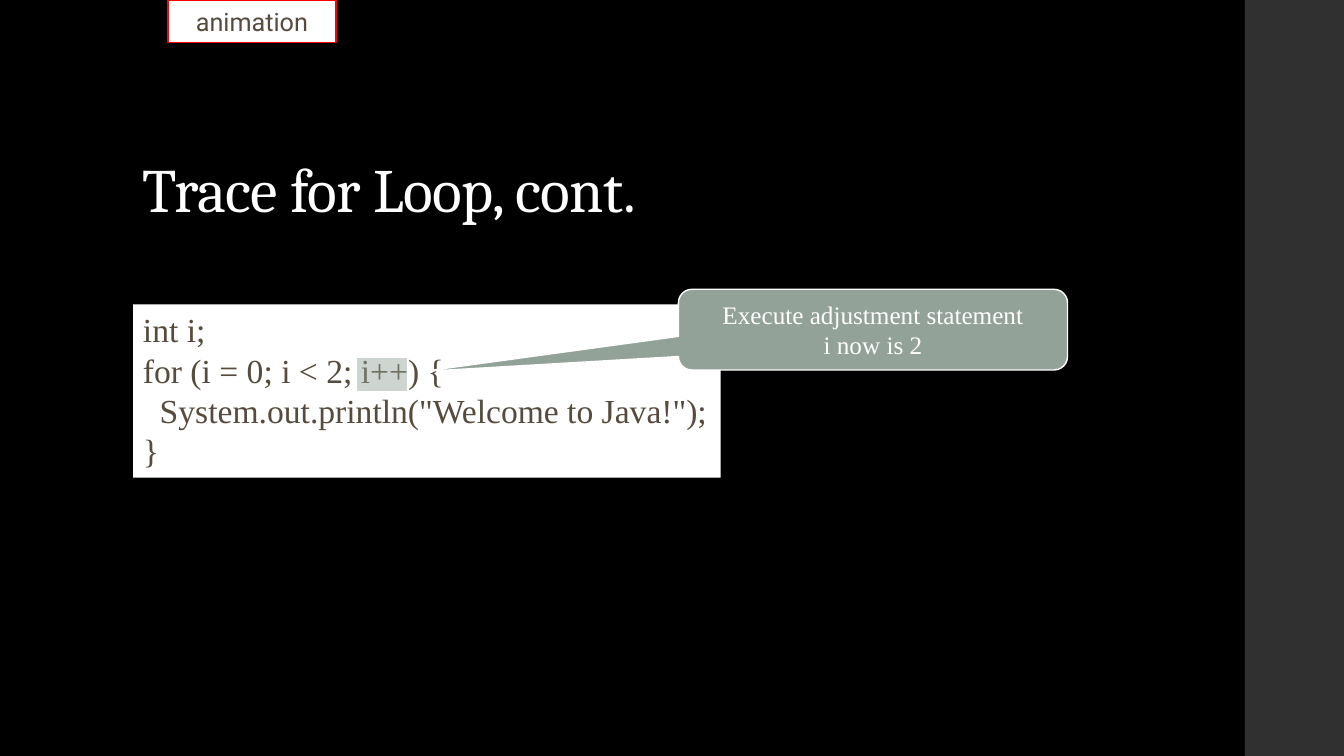
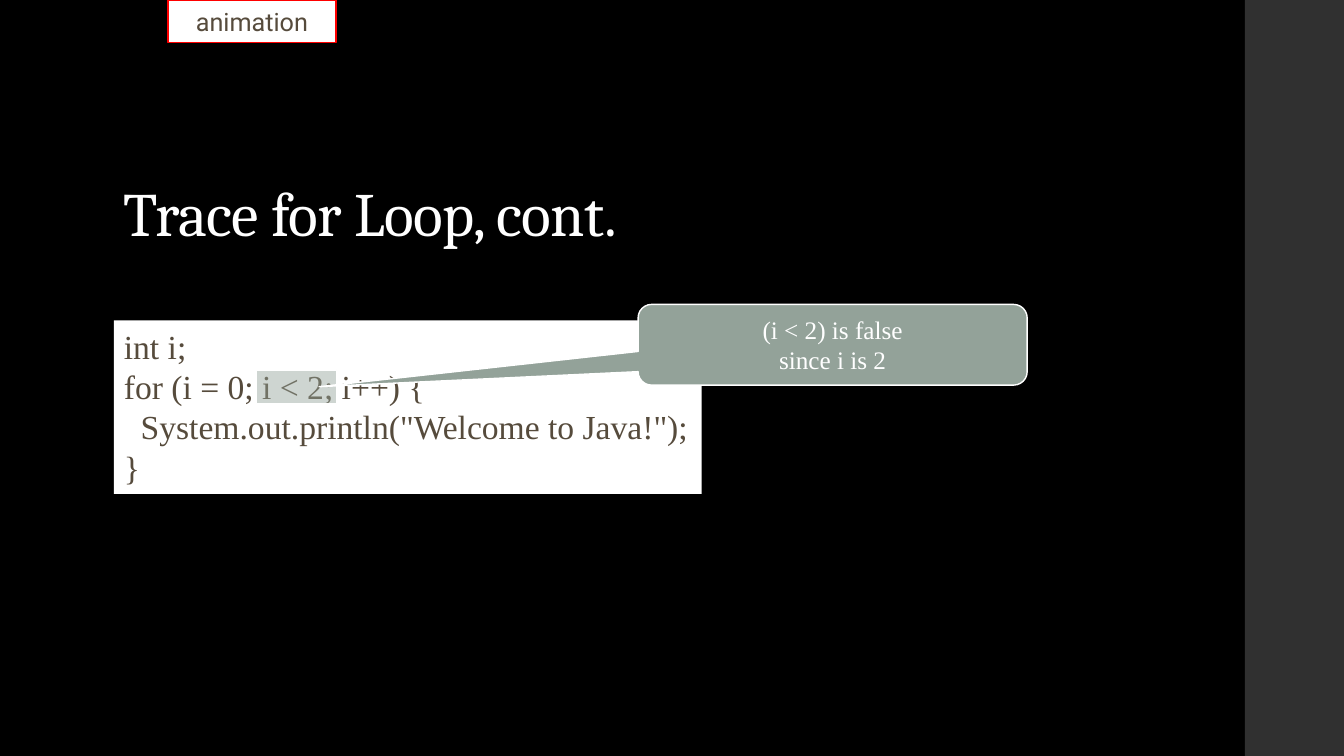
from pptx import Presentation
from pptx.dml.color import RGBColor
from pptx.enum.shapes import MSO_SHAPE as SHAPE
from pptx.enum.text import MSO_ANCHOR as ANCHOR, PP_ALIGN as ALIGN
from pptx.oxml.ns import qn
from pptx.util import Inches, Pt
from lxml import etree

# Shared look
BLACK, WHITE, RED = "000000", "FFFFFF", "FF0000"
BAND, SAGE, BROWN = "303030", "93A299", "564B3C"
TITLE = dict(name="Cambria", size=Pt(44))
CODE = dict(name="Times New Roman", size=Pt(24))
NOTE = dict(name="Times New Roman", size=Pt(18))
TAG = dict(name="Roboto", size=Pt(18))

CODE_LINES = [
    "int i;",
    "for (i = 0; i < 2; i++) {",
    '  System.out.println("Welcome to Java!");',
    "}",
]

prs = Presentation()
prs.slide_width, prs.slide_height = Inches(13.33), Inches(7.5)


def rgb(color):
    return RGBColor.from_string(color)


def place(x, y, w, h):
    """Turn percent of the slide's width and height into lengths."""
    col, row = prs.slide_width / 100, prs.slide_height / 100
    return int(x * col), int(y * row), int(w * col), int(h * row)


def write(sp, lines, font, color, align=ALIGN.LEFT, anchor=ANCHOR.TOP, wrap=True):
    tf = sp.text_frame
    tf.word_wrap, tf.vertical_anchor = wrap, anchor
    for i, line in enumerate(lines):
        p = tf.paragraphs[0] if i == 0 else tf.add_paragraph()
        p.alignment = align
        r = p.add_run()
        r.text = line
        for key, value in font.items():
            setattr(r.font, key, value)
        r.font.color.rgb = rgb(color)


def add_box(s, box, fill, line=None, kind=SHAPE.RECTANGLE):
    sp = s.shapes.add_shape(kind, *place(*box))
    sp.shadow.inherit = False
    sp.fill.solid()
    sp.fill.fore_color.rgb = rgb(fill)
    if line:
        sp.line.color.rgb = rgb(line)
        sp.line.width = Pt(1)
    else:
        sp.line.fill.background()
    return sp


def add_title(s, box, text):
    sp = s.shapes.add_textbox(*place(*box))
    write(sp, [text], TITLE, WHITE, anchor=ANCHOR.BOTTOM)
    p = sp.text_frame.paragraphs[0]
    p.line_spacing = 0.9
    p.runs[0].font._element.set("spc", "-50")


def add_highlight(s, box):
    sp = add_box(s, box, SAGE, WHITE)
    color = sp.fill._xPr.find(qn("a:solidFill"))[0]
    etree.SubElement(color, qn("a:alpha")).set("val", "45000")


def add_callout(s, box, lines, tip):
    sp = add_box(s, box, SAGE, WHITE, SHAPE.ROUNDED_RECTANGULAR_CALLOUT)
    for i, value in enumerate((*tip, 0.167)):
        sp.adjustments[i] = value
    write(sp, lines, NOTE, WHITE, ALIGN.CENTER, ANCHOR.MIDDLE)


def add_code_panel(s, x, y, mark, note):
    """Code box at x, y; mark and note are placed from its corner."""
    write(add_box(s, (x, y, 43.73, 22.93), WHITE), CODE_LINES, CODE, BROWN)
    dx, dy, width = mark
    add_highlight(s, (x + dx, y + dy, width, 4.53))
    dx, dy, lines, tip = note
    add_callout(s, (x + dx, y + dy, 28.95, 10.67), lines, tip)


def add_trace_slide(x, title_y, code_y, mark, note):
    s = prs.slides.add_slide(prs.slide_layouts[6])
    # Background and side band
    s.background.fill.solid()
    s.background.fill.fore_color.rgb = rgb(BLACK)
    add_box(s, (92.62, 0, 7.38, 100), BAND)
    # Title and traced code
    add_title(s, (x, title_y, 63.75, 11.07), "Trace for Loop, cont.")
    add_code_panel(s, x, code_y, mark, note)
    # Tag at the top edge
    tag = add_box(s, (12.5, 0, 12.5, 5.6), WHITE, RED)
    write(tag, ["animation"], TAG, BROWN, ALIGN.CENTER, ANCHOR.MIDDLE, False)


def main():
    add_trace_slide(
        9.9, 19.47, 40.27, mark=(16.58, 7.06, 3.83),
        note=(40.58, -2, ["Execute adjustment statement", "i now is 2"],
              (-1.16, 0.52)))
    add_trace_slide(
        8.48, 22.67, 42.4, mark=(10.57, 6.53, 6),
        note=(39, -2.13, ["(i < 2) is false", "since i is 2"],
              (-1.32, 0.52)))
    prs.save("out.pptx")


if __name__ == "__main__":
    main()
